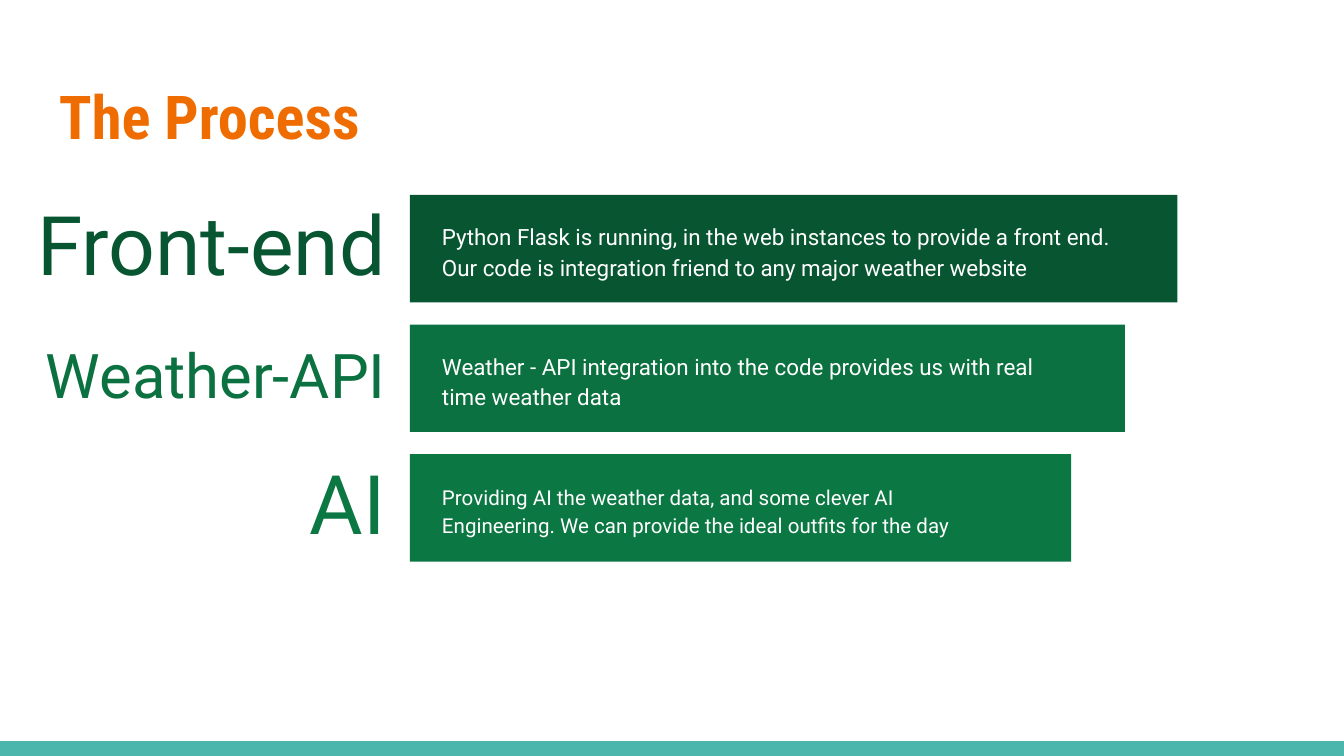
from dataclasses import dataclass

from pptx import Presentation
from pptx.dml.color import RGBColor
from pptx.enum.shapes import MSO_SHAPE
from pptx.enum.text import MSO_ANCHOR, PP_ALIGN
from pptx.util import Inches, Pt

RECT = MSO_SHAPE.RECTANGLE
TOP, MIDDLE = MSO_ANCHOR.TOP, MSO_ANCHOR.MIDDLE
LEFT, RIGHT = PP_ALIGN.LEFT, PP_ALIGN.RIGHT
SLIDE_W = 10
SLIDE_H = SLIDE_W * 9 / 16


@dataclass(frozen=True)
class Theme:
    heading_font: str = "Roboto Condensed"
    body_font: str = "Roboto"
    title: str = "EF6C00"
    footer: str = "4DB6AC"
    white: str = "FFFFFF"
    greens: tuple = ("085631", "0B7140", "0B7743")
    title_size: float = 32.4
    label_sizes: tuple = (44, 33, 44)
    body_sizes: tuple = (12, 12, 11)


class SlideBuilder:
    def __init__(self, slide, theme):
        self.s = slide
        self.theme = theme

    def bar(self, x, y, w, h, color):
        sp = self.s.shapes.add_shape(RECT, Inches(x), Inches(y), Inches(w), Inches(h))
        sp.shadow.inherit = False
        sp.fill.solid()
        sp.fill.fore_color.rgb = RGBColor.from_string(color)
        sp.line.fill.background()

    def text(self, x, y, w, h, text, size, color, font=None, bold=False,
             align=LEFT, anchor=MIDDLE, spacing=1.0, inset=0.05):
        sp = self.s.shapes.add_textbox(Inches(x), Inches(y), Inches(w), Inches(h))
        tf = sp.text_frame
        tf.word_wrap = True
        tf.vertical_anchor = anchor
        tf.margin_left = tf.margin_right = Inches(0.1)
        tf.margin_top = tf.margin_bottom = Inches(inset)
        p = tf.paragraphs[0]
        p.text = text
        p.alignment = align
        p.line_spacing = spacing
        p.font.name = font or self.theme.body_font
        p.font.size = Pt(size)
        p.font.bold = bold
        p.font.color.rgb = RGBColor.from_string(color)

    def title(self, text):
        t = self.theme
        self.text(0.34, 0.49, 9.32, 0.77, text, t.title_size, t.title,
                  font=t.heading_font, bold=True, anchor=TOP, inset=0.1)

    def step(self, index, label, label_w, bar_w, body, body_w, body_h):
        t = self.theme
        bar_h, label_h, label_right = 0.8, 0.69, 2.97
        first_y, last_y = 1.45, 3.38
        y = first_y + (last_y - first_y) * index / (len(STEPS) - 1)
        middle = y + bar_h / 2
        color = t.greens[index]
        self.text(label_right - label_w, middle - label_h / 2, label_w, label_h,
                  label, t.label_sizes[index], color, align=RIGHT, spacing=0.9)
        self.bar(3.05, y, bar_w, bar_h, color)
        self.text(3.19, middle + 0.01 - body_h / 2, body_w, body_h,
                  body, t.body_sizes[index], t.white, spacing=1.15)


STEPS = [
    ("Front-end", 2.86, 5.71,
     "Python Flask is running, in the web instances to provide a front end. "
     "Our code is integration friend to any major weather website", 5.21, 0.63),
    ("Weather-API", 3.28, 5.32,
     "Weather - API integration into the code provides us with real time weather data",
     4.78, 0.36),
    ("AI", 2.14, 4.92,
     "Providing AI the weather data, and some clever AI Engineering. "
     "We can provide the ideal outfits for the day", 4.21, 0.36),
]


def main():
    prs = Presentation()
    prs.slide_width, prs.slide_height = Inches(SLIDE_W), Inches(SLIDE_H)
    theme = Theme()
    builder = SlideBuilder(prs.slides.add_slide(prs.slide_layouts[6]), theme)
    footer_h = 0.11
    builder.bar(0, SLIDE_H - footer_h, SLIDE_W, footer_h, theme.footer)
    builder.title("The Process")
    for index, step in enumerate(STEPS):
        builder.step(index, *step)
    prs.save("out.pptx")


if __name__ == "__main__":
    main()
